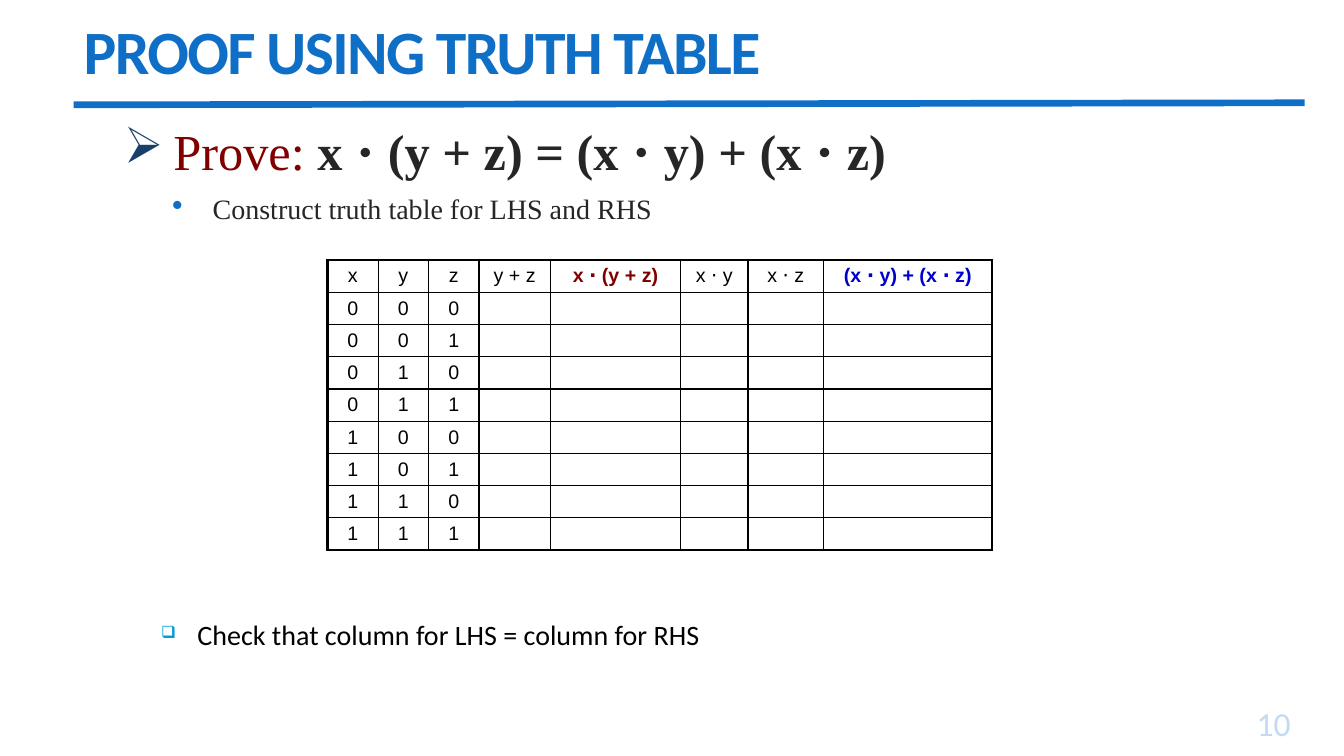
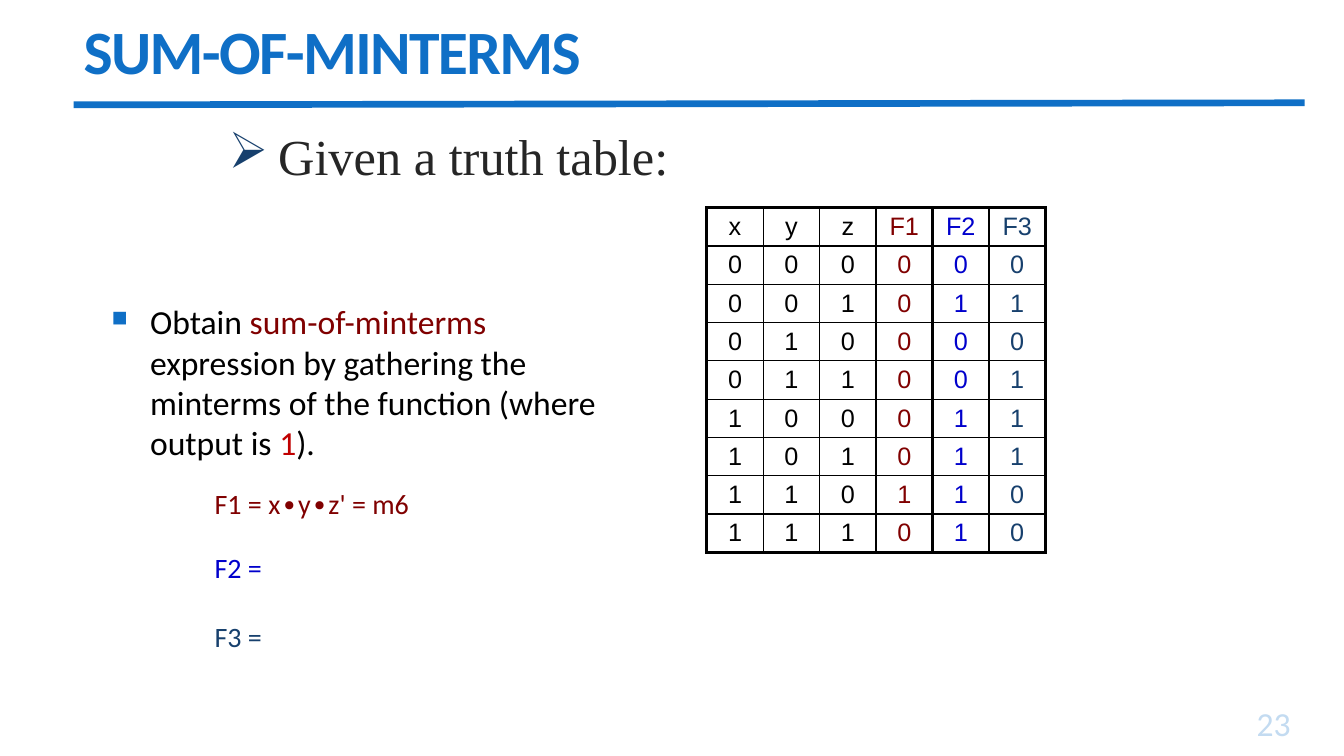
from itertools import product

from lxml import etree
from pptx import Presentation, util as u
from pptx.dml.color import RGBColor
from pptx.enum import shapes, text
from pptx.oxml.ns import qn

HUES = {"blue": "0F6FC6", "pale": "C3DBF1", "navy": "17406D", "maroon": "800000",
        "royal": "0000CC", "red": "C00000", "sky": "009DD9", "ink": "262626",
        "black": "000000"}
HUES = {name: RGBColor.from_string(code) for name, code in HUES.items()}
SERIF, SANS, ARIAL = "Times New Roman", "Calibri", "Arial"
In = u.Inches

deck = Presentation()
deck.slide_width, deck.slide_height = In(13.33), In(7.5)


def write(para, runs, size, face, bullet=None, indent=(0, 0)):
    """Fill a paragraph with (text, hue, bold) runs; bullet is (char, hue, percent)."""
    if bullet:
        char, hue, scale = bullet
        props = para._p.get_or_add_pPr()
        props.set("marL", str(In(indent[0])))
        props.set("indent", str(In(indent[1])))
        color = etree.SubElement(props, qn("a:buClr"))
        etree.SubElement(color, qn("a:srgbClr"), val=str(HUES[hue]))
        etree.SubElement(props, qn("a:buSzPct"), val=str(scale * 1000))
        etree.SubElement(props, qn("a:buChar"), char=char)
    para.font.size, para.font.name = u.Pt(size), face
    for words, hue, bold in runs:
        run = para.add_run()
        run.text = words
        run.font.color.rgb = HUES[hue]
        run.font.bold = bold
    return para


def grid(slide, left, top, widths, height, rows, hues, size, bold, cols, lines):
    """Draw a ruled table; cols and lines number the heavy rules."""
    table = slide.shapes.add_table(len(rows), len(widths), In(left), In(top),
                                   In(sum(widths)), In(height * len(rows))).table
    table.first_row = table.horz_banding = False
    for col, width in zip(table.columns, widths):
        col.width = In(width)
    for r, row in enumerate(rows):
        table.rows[r].height = In(height)
        for c, value in enumerate(row):
            cell = table.cell(r, c)
            cell.margin_top = cell.margin_bottom = 0
            cell.vertical_anchor = text.MSO_ANCHOR.MIDDLE
            para = cell.text_frame.paragraphs[0]
            para.alignment = text.PP_ALIGN.CENTER
            runs = [(value, hues[c], r == 0 and c in bold)] if value else []
            write(para, runs, size, ARIAL)
            heavy = {"L": c in cols, "R": c + 1 in cols,
                     "T": r in lines, "B": r + 1 in lines}
            props = cell._tc.get_or_add_tcPr()
            for side, thick in heavy.items():
                edge = etree.SubElement(props, qn("a:ln" + side),
                                        w=str(u.Pt(2.25 if thick else 1)))
                fill = etree.SubElement(edge, qn("a:solidFill"))
                etree.SubElement(fill, qn("a:srgbClr"), val=str(HUES["black"]))
            cell.fill.background()


# Shared frame: title, rule and page number
pages = []
for title, number in (("PROOF USING TRUTH TABLE", "10"), ("SUM-OF-MINTERMS", "23")):
    slide = deck.slides.add_slide(deck.slide_layouts[5])
    pages.append(slide)
    rule = slide.shapes.add_connector(shapes.MSO_CONNECTOR.STRAIGHT,
                                      In(0.73), In(1.04), In(12.94), In(1.02))
    rule.line.color.rgb, rule.line.width = HUES["blue"], u.Pt(4.75)
    etree.SubElement(rule._element.spPr, qn("a:effectLst"))

    head = slide.shapes.title
    head.left, head.top, head.width, head.height = In(0.73), In(0.08), In(11.78), In(0.94)
    head.text_frame.vertical_anchor = text.MSO_ANCHOR.MIDDLE
    para = write(head.text_frame.paragraphs[0], [(title, "blue", True)], 44, SANS)
    para.alignment, para.line_spacing = text.PP_ALIGN.LEFT, 0.85
    para.runs[0]._r.get_or_add_rPr().set("spc", "-120")

    foot = slide.shapes.add_textbox(In(11.6), In(7), In(1.3), In(0.42)).text_frame
    foot.word_wrap, foot.vertical_anchor = True, text.MSO_ANCHOR.BOTTOM
    para = write(foot.paragraphs[0], [(number, "pale", False)], 24, SANS)
    para.alignment = text.PP_ALIGN.RIGHT

proof, sums = pages
arrow = ("➢", "navy", 100)
bits = list(product("01", repeat=3))

# Body text: slide, box, then paragraphs of runs, size, face, bullet, indent, spacing
blocks = [
    (proof, (1.13, 1.21, 8.58, 1.08), [
        ([("Prove: ", "maroon", False),
          ("x ⋅ (y + z) = (x ⋅ y) + (x ⋅ z)", "ink", True)],
         36, SERIF, arrow, (0.49, -0.49), 0.9),
        ([("Construct truth table for LHS and RHS", "ink", False)],
         20, SERIF, ("•", "blue", 112), (0.88, -0.4), 0.9)]),
    (proof, (1.13, 6.08, 9, 0.58), [
        ([("Check that column for LHS = column for RHS", "black", False)],
         20, SANS, ("❑", "sky", 60), (0.73, -0.36), 1)]),
    (sums, (2.17, 1.26, 5.17, 0.67), [
        ([("Given a truth table:", "ink", False)],
         36, SERIF, arrow, (0.49, -0.49), 0.9)]),
    (sums, (1.01, 2.94, 5.32, 1.83), [
        ([("Obtain ", "black", False), ("sum-of-minterms", "maroon", False),
          (" expression by gathering the minterms of the function (where output is ",
           "black", False), ("1", "red", False), (").", "black", False)],
         24, SANS, ("■", "blue", 65), (0.38, -0.38), 1)]),
]
for top, words, hue in ((4.78, "F1 = x∙y∙z' = m6", "maroon"),
                        (5.41, "F2 =", "royal"), (6.1, "F3 =", "navy")):
    blocks.append((sums, (2.03, top, 3.79, 0.43),
                   [([(words, hue, False)], 20, SANS, None, (0, 0), 1)]))

for slide, box, paras in blocks:
    frame = slide.shapes.add_textbox(*map(In, box)).text_frame
    frame.word_wrap = True
    for i, (runs, size, face, bullet, indent, spacing) in enumerate(paras):
        para = frame.add_paragraph() if i else frame.paragraphs[0]
        write(para, runs, size, face, bullet, indent)
        para.line_spacing = spacing
        para.space_before = u.Pt(10 if i else 0)

# Truth table for both sides of the proof
names = ["x", "y", "z", "y + z", "x ⋅ (y + z)", "x ⋅ y", "x ⋅ z", "(x ⋅ y) + (x ⋅ z)"]
grid(proof, 3.25, 2.58, [0.5, 0.5, 0.5, 0.71, 1.29, 0.67, 0.75, 1.67], 0.32,
     [names] + [list(row) + [""] * 5 for row in bits],
     ["black"] * 4 + ["maroon", "black", "black", "royal"], 14, {4, 7}, {0, 8}, {0, 9})

# Truth table for the three functions
outs = zip("00000010", "01001111", "01011100")
grid(sums, 7.01, 2.06, [0.56] * 6, 0.38,
     [["x", "y", "z", "F1", "F2", "F3"]] + [row + out for row, out in zip(bits, outs)],
     ["black"] * 3 + ["maroon", "royal", "navy"], 18, set(), {0, 3, 4, 5, 6}, {0, 1, 9})

deck.save("out.pptx")
